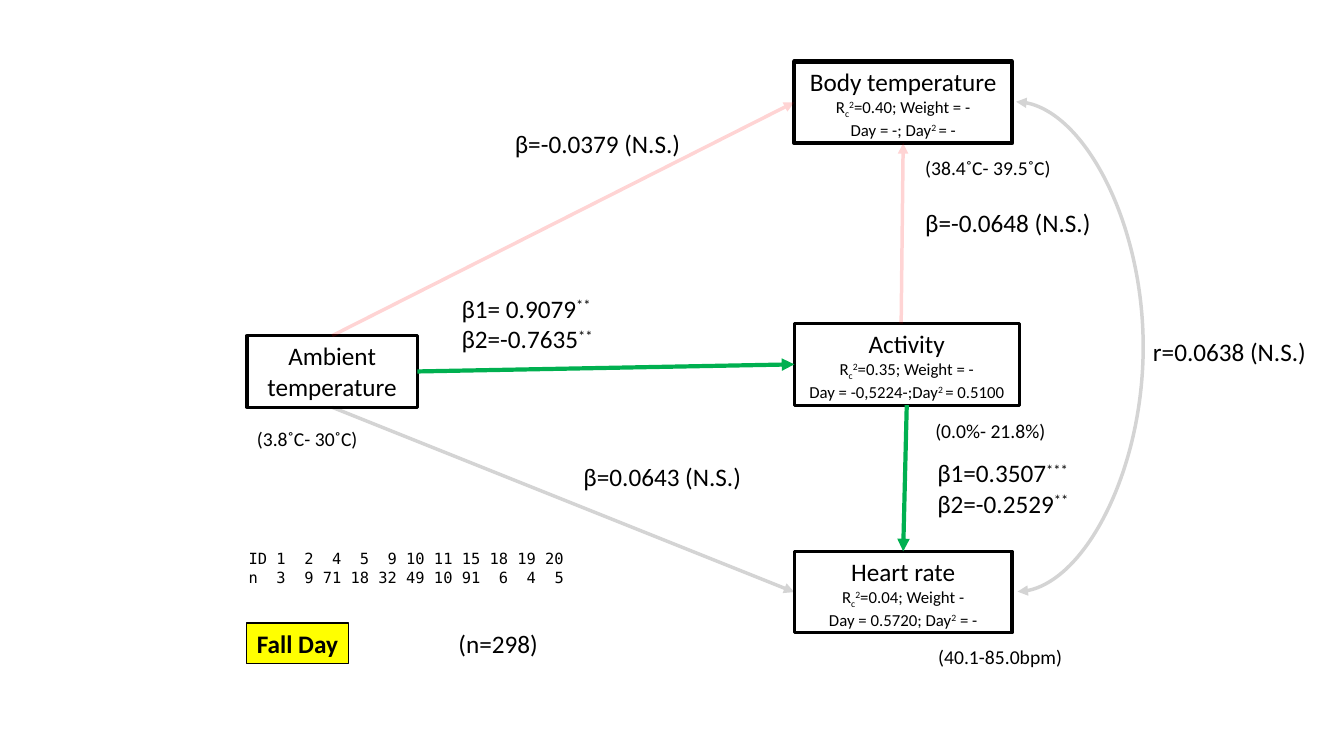
from dataclasses import dataclass

from lxml import etree
from pptx import Presentation
from pptx import util as u
from pptx.dml.color import RGBColor
from pptx.enum import shapes, text
from pptx.oxml.ns import qn

COLORS = {"black": "000000", "green": "00B050", "red": "FF0000", "yellow": "FFFF00"}
BASELINES = {"^": "30000", "_": "-25000"}
TOP, LEFT, BOTTOM, RIGHT = range(4)
FAINT = 16
MONO_STEP = 6.62


@dataclass
class Label:
    left: float
    top: float
    width: float
    height: float
    lines: list[str]
    size: float = 18
    detail_size: float = 18
    font: str = "Calibri"
    bold: bool = False
    centered: bool = False
    wrap: bool = False
    fill: str = ""
    border: float = 0
    tabs: int = 0


@dataclass
class Arrow:
    start: str
    start_side: int
    end: str
    end_side: int
    color: str
    width: float
    opacity: int = 100


def node(left: float, top: float, width: float, height: float,
         lines: list[str], border: float = 2.25) -> Label:
    return Label(left, top, width, height, lines, detail_size=12,
                 centered=True, wrap=True, border=border)


NODES = {
    "ambient": node(176.4, 239.8, 121.7, 51.1, ["Ambient temperature"]),
    "activity": node(567.4, 231.1, 160.6, 58.3, [
        "Activity", "R|_c|^2|=0.35; Weight = -", "Day = -0,5224-;Day|^2 |= 0.5100"]),
    "heart": node(567.4, 393.8, 155.5, 58.3, [
        "Heart rate", "R|_c|^2|=0.04; Weight -", "Day = 0.5720; Day|^2| = -"]),
    "body": node(567.4, 43.9, 155.5, 58.3, [
        "Body temperature", "R|_c|^2|=0.40; Weight = -", "Day = -; Day|^2 |= -"], 3),
}

ARROWS = [
    Arrow("ambient", RIGHT, "activity", LEFT, "green", 3),
    Arrow("activity", BOTTOM, "heart", TOP, "green", 3),
    Arrow("ambient", TOP, "body", LEFT, "red", 2.5, FAINT),
    Arrow("ambient", BOTTOM, "heart", LEFT, "black", 2.5, FAINT),
]

LABELS = [
    Label(662.4, 323.3, 111.6, 51, ["β1=0.3507|^***", "β2=-0.2529|^**"]),
    Label(322.6, 205.9, 110.9, 51, ["β1= 0.9079|^**", "β2=-0.7635|^**"]),
    Label(360.7, 87.8, 133.9, 29, ["β=-0.0379 (N.S.)"]),
    Label(409.7, 326.2, 128.2, 29, ["β=0.0643 (N.S.)"]),
    Label(653.8, 144.7, 133.9, 29, ["β=-0.0648 (N.S.)"]),
    Label(176.4, 445, 72.7, 29, ["Fall Day"], bold=True, fill="yellow", border=0.75),
    Label(176.4, 301.7, 87.1, 24.5, ["(3.8˚C- 30˚C)"], 14),
    Label(320.4, 445, 72, 29, ["(n=298)"]),
    Label(816.5, 236.9, 125.3, 29, ["r=0.0638 (N.S.)"]),
    Label(653.8, 108, 105.1, 24.5, ["(38.4˚C- 39.5˚C)"], 14),
    Label(661, 295.9, 93.6, 24.5, ["(0.0%- 21.8%)"], 14),
    Label(663.1, 457.2, 103.7, 24.5, ["(40.1-85.0bpm)"], 14),
    Label(170.6, 388.8, 309.6, 33.8, [
        "ID\t1\t2\t4\t5\t9\t10\t11\t15\t18\t19\t20",
        "n\t3\t9\t71\t18\t32\t49\t10\t91\t6\t4\t5",
    ], 11, 11, "DejaVu Sans Mono", wrap=True, tabs=11),
]


def rgb(name: str) -> RGBColor:
    return RGBColor.from_string(COLORS[name])


def add_tabs(para, count: int) -> None:
    tab_list = etree.SubElement(para._p.get_or_add_pPr(), qn("a:tabLst"))
    for index in range(count):
        position = u.Pt((4 + 3 * index) * MONO_STEP)
        etree.SubElement(tab_list, qn("a:tab"), pos=str(position), algn="r")


def write_line(para, line: str, label: Label, size: float) -> None:
    if label.tabs:
        add_tabs(para, label.tabs)
    para.alignment = text.PP_ALIGN.CENTER if label.centered else text.PP_ALIGN.LEFT
    for part in line.split("|"):
        span = para.add_run()
        baseline = BASELINES.get(part[0])
        span.text = part[1:] if baseline else part
        span.font.size = u.Pt(size)
        span.font.name = label.font
        span.font.bold = label.bold
        span.font.color.rgb = rgb("black")
        if baseline:
            span._r.get_or_add_rPr().set("baseline", baseline)


def draw_label(page, label: Label):
    frame = [u.Pt(n) for n in (label.left, label.top, label.width, label.height)]
    if label.border:
        box = page.shapes.add_shape(shapes.MSO_SHAPE.RECTANGLE, *frame)
        box.shadow.inherit = False
        box.line.color.rgb = rgb("black")
        box.line.width = u.Pt(label.border)
    else:
        box = page.shapes.add_textbox(*frame)
    if label.fill:
        box.fill.solid()
        box.fill.fore_color.rgb = rgb(label.fill)
    else:
        box.fill.background()
    content = box.text_frame
    content.word_wrap = label.wrap
    content.auto_size = text.MSO_AUTO_SIZE.SHAPE_TO_FIT_TEXT
    content.vertical_anchor = text.MSO_ANCHOR.TOP
    for index, line in enumerate(label.lines):
        para = content.add_paragraph() if index else content.paragraphs[0]
        write_line(para, line, label, label.detail_size if index else label.size)
    return box


def style_line(line, color: str, width: float, opacity: int, ends: list[str]) -> None:
    line.line.color.rgb = rgb(color)
    line.line.width = u.Pt(width)
    outline = line.line._get_or_add_ln()
    if opacity < 100:
        shade = outline.find(".//" + qn("a:srgbClr"))
        etree.SubElement(shade, qn("a:alpha"), val=str(opacity * 1000))
    for end in ends:
        etree.SubElement(outline, qn(end), type="triangle")
    etree.SubElement(line._element.spPr, qn("a:effectLst"))


def add_line(page, kind, left: float, top: float, right: float, bottom: float):
    return page.shapes.add_connector(kind, *[u.Pt(n) for n in (left, top, right, bottom)])


def draw_arrow(page, arrow: Arrow, boxes: dict) -> None:
    line = add_line(page, shapes.MSO_CONNECTOR.STRAIGHT, 0, 0, 0, 0)
    line.begin_connect(boxes[arrow.start], arrow.start_side)
    line.end_connect(boxes[arrow.end], arrow.end_side)
    style_line(line, arrow.color, arrow.width, arrow.opacity, ["a:tailEnd"])


def draw_activity_to_body(page, body) -> None:
    line = add_line(page, shapes.MSO_CONNECTOR.STRAIGHT, 643.7, 231.1, 645.1, 102.2)
    line.end_connect(body, BOTTOM)
    style_line(line, "red", 2.5, FAINT, ["a:tailEnd"])


def draw_correlation(page) -> None:
    curve = add_line(page, shapes.MSO_CONNECTOR.CURVE, 725.8, 72.7, 726.8, 422.6)
    guides = curve._element.spPr.find(qn("a:prstGeom")).get_or_add_avLst()
    etree.SubElement(guides, qn("a:gd"), name="adj1", fmla="val 9150000")
    style_line(curve, "black", 2.5, FAINT, ["a:headEnd", "a:tailEnd"])


def main() -> None:
    deck = Presentation()
    deck.slide_width, deck.slide_height = u.Pt(960), u.Pt(540)
    page = deck.slides.add_slide(deck.slide_layouts[6])
    boxes = {name: draw_label(page, label) for name, label in NODES.items()}
    for arrow in ARROWS:
        draw_arrow(page, arrow, boxes)
    draw_activity_to_body(page, boxes["body"])
    draw_correlation(page)
    for label in LABELS:
        draw_label(page, label)
    deck.save("out.pptx")


if __name__ == "__main__":
    main()
